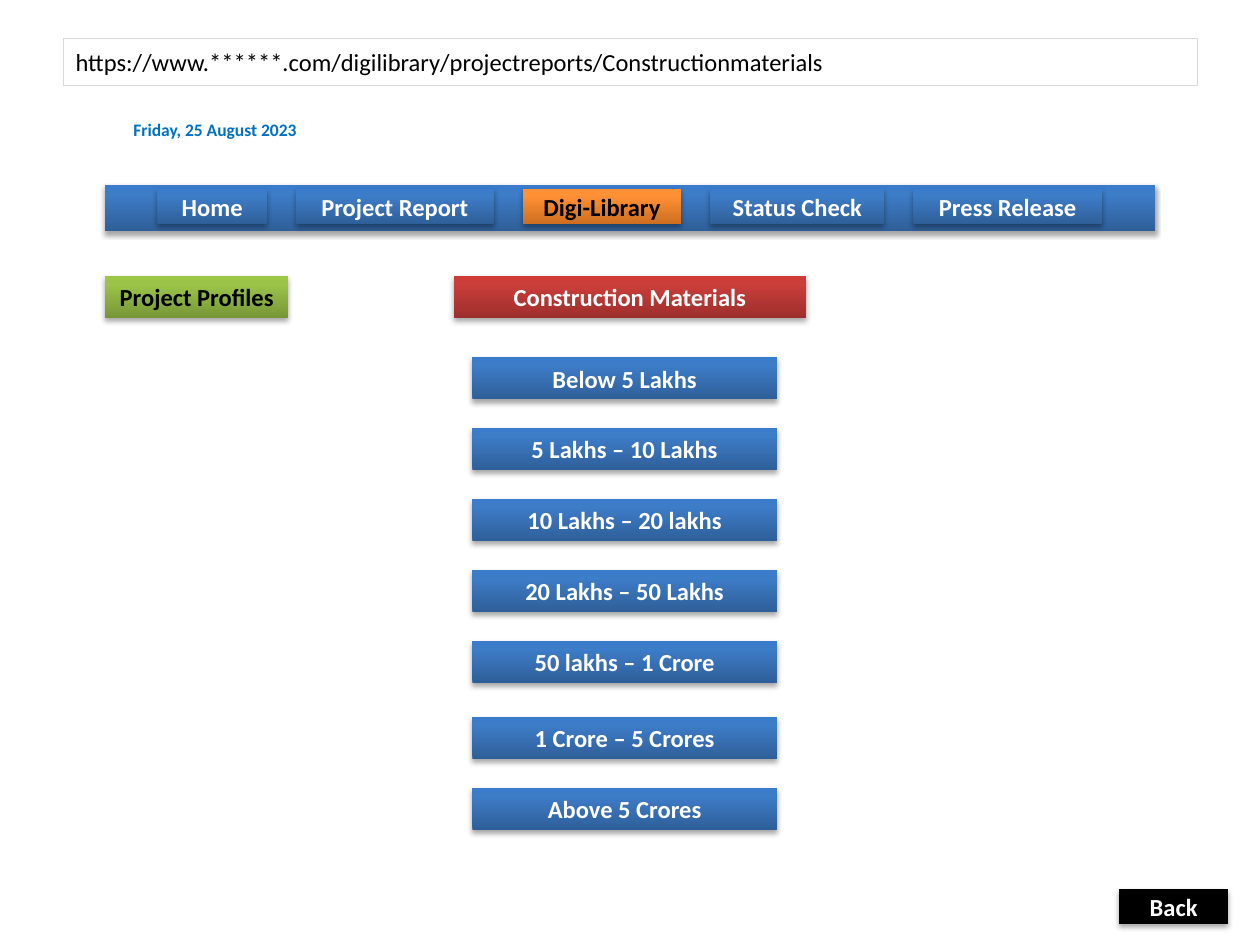
import copy

import pptx
import pptx.dml.color
import pptx.enum.shapes
import pptx.enum.text
import pptx.oxml
import pptx.oxml.ns
import pptx.util

Pt = pptx.util.Pt
MIDDLE = pptx.enum.text.MSO_ANCHOR.MIDDLE
ALIGN = pptx.enum.text.PP_ALIGN

# Gradient colours from the bottom edge up
BLUE = ("2F5F99", "3D7CC7", "3A7CCB")
RED = ("9C2F2D", "CB3E3A", "CE3B37")
GREEN = ("779737", "9BC348", "9DC746")
ORANGE = ("CC6E20", "FF9034", "FF9136")
BLACK = ("000000",) * 3

SHADOW = (
    f'<a:outerShdw {pptx.oxml.ns.nsdecls("a")} blurRad="40000" dist="23000" '
    'dir="5400000" rotWithShape="0"><a:srgbClr val="000000">'
    '<a:alpha val="35000"/></a:srgbClr></a:outerShdw>'
)


def write(shape, text, size, color, bold=True, align=ALIGN.CENTER):
    frame = shape.text_frame
    frame.word_wrap = True
    frame.vertical_anchor = MIDDLE
    paragraph = frame.paragraphs[0]
    paragraph.text = text
    paragraph.alignment = align
    paragraph.font.name = "Calibri"
    paragraph.font.size = Pt(size)
    paragraph.font.bold = bold
    paragraph.font.color.rgb = pptx.dml.color.RGBColor.from_string(color)


def add_button(left, top, width, height, colors, text="", text_color="FFFFFF"):
    button = slide.shapes.add_shape(
        pptx.enum.shapes.MSO_SHAPE.RECTANGLE, Pt(left), Pt(top), Pt(width), Pt(height))
    button.line.fill.background()
    # Three-stop vertical gradient
    button.fill.gradient()
    button.fill.gradient_angle = 90
    last_stop = button.element.spPr.findall(".//" + pptx.oxml.ns.qn("a:gs"))[-1]
    last_stop.addnext(copy.deepcopy(last_stop))
    for stop, position, color in zip(button.fill.gradient_stops, (0, 0.8, 1), colors):
        stop.position = position
        stop.color.rgb = pptx.dml.color.RGBColor.from_string(color)
    # Soft shadow below
    button.shadow.inherit = False
    effects = button.element.spPr.find(pptx.oxml.ns.qn("a:effectLst"))
    effects.append(pptx.oxml.parse_xml(SHADOW))
    if text:
        write(button, text, 14, text_color)


presentation = pptx.Presentation()
presentation.slide_width, presentation.slide_height = Pt(720), Pt(540)
slide = presentation.slides.add_slide(presentation.slide_layouts[5])

# Address bar
address = slide.shapes.title
address.left, address.top, address.width, address.height = Pt(36), Pt(22), Pt(648), Pt(26.5)
address.line.color.rgb = pptx.dml.color.RGBColor.from_string("D9D9D9")
address.line.width = Pt(0.25)
write(address, "https://www.******.com/digilibrary/projectreports/Constructionmaterials",
      14, "000000", bold=False, align=ALIGN.LEFT)
address.text_frame.auto_size = pptx.enum.text.MSO_AUTO_SIZE.NONE

# Date
date = slide.shapes.add_textbox(Pt(53.3), Pt(64.3), Pt(139), Pt(20))
write(date, "Friday, 25 August 2023", 10, "0070C0")

# Section headings
add_button(60, 157.5, 104.8, 24.25, GREEN, "Project Profiles", "000000")
add_button(259.4, 157.5, 201.2, 24.25, RED, "Construction Materials")

# Cost ranges, in two groups with an equal pitch
cost_groups = [
    (204, ["Below 5 Lakhs", "5 Lakhs – 10 Lakhs", "10 Lakhs – 20 lakhs",
           "20 Lakhs – 50 Lakhs", "50 lakhs – 1 Crore"]),
    (409.5, ["1 Crore – 5 Crores", "Above 5 Crores"]),
]
for group_top, cost_ranges in cost_groups:
    for row, cost_range in enumerate(cost_ranges):
        add_button(270, group_top + row * 40.5, 174, 24.25, BLUE, cost_range)

# Navigation bar
add_button(60, 105.8, 600, 26.4, BLUE)
tab_left = 90
for tab, width, colors, text_color in [
    ("Home", 62.6, BLUE, "FFFFFF"),
    ("Project Report", 113, BLUE, "FFFFFF"),
    ("Digi-Library", 90.7, ORANGE, "000000"),
    ("Status Check", 99.4, BLUE, "FFFFFF"),
    ("Press Release", 108, BLUE, "FFFFFF"),
]:
    add_button(tab_left, 108, width, 20.2, colors, tab, text_color)
    tab_left += width + 16.55

# Back button
add_button(639.4, 508, 62.6, 20.2, BLACK, "Back")

presentation.save("out.pptx")
